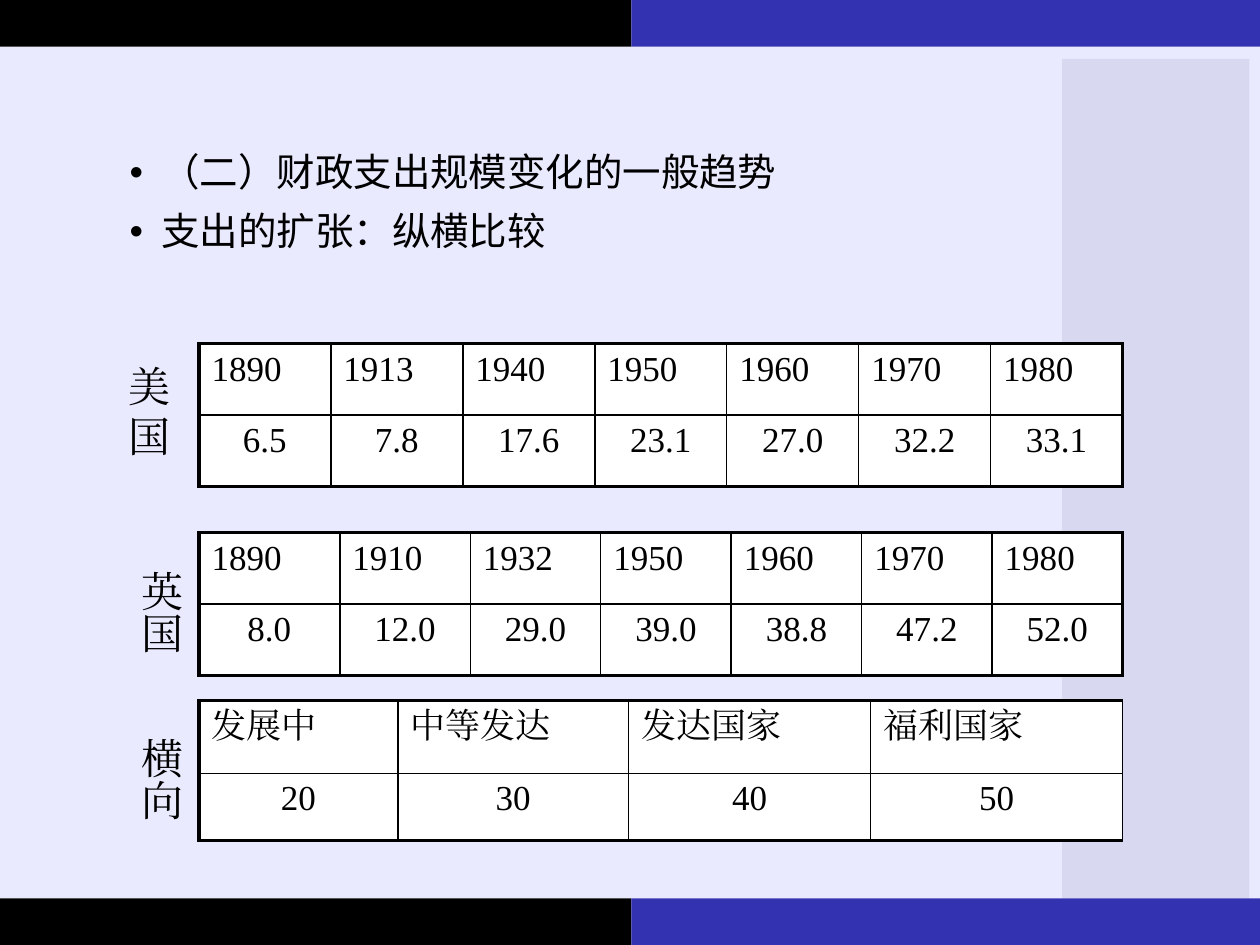
from dataclasses import dataclass

from lxml.etree import SubElement
from pptx import Presentation
from pptx.dml.color import RGBColor
from pptx.enum.shapes import MSO_SHAPE as Preset
from pptx.enum.text import MSO_AUTO_SIZE as AutoSize, PP_ALIGN as Align
from pptx.oxml.ns import qn
from pptx.util import Cm, Pt

SERIF, SANS = "Times New Roman", "Noto Sans CJK SC"
BLACK, WHITE, BLUE = "000000", "FFFFFF", "3333B2"
LAVENDER, PANEL = "EAEAFF", "D8D8F0"
WIDTH, HEIGHT = 25.4, 19.05
BAND_HEIGHT, BAND_SPLIT = 0.94, 12.73
TABLE_LEFT = 4.01
THIN, THICK = 1, 2.25


@dataclass
class Block:
    left: float
    top: float
    width: float
    height: float
    color: str


@dataclass
class DataTable:
    top: float
    columns: list[float]
    rows: list[float]
    headings: list[str]
    values: list[str]
    right_border: float = THICK


@dataclass
class Label:
    text: str
    left: float
    top: float
    width: float
    height: float
    vertical: bool = True


def paint(target, color: str) -> None:
    """Give a fill or a font a solid colour."""
    if hasattr(target, "solid"):
        target.solid()
        target.fore_color.rgb = RGBColor.from_string(color)
    else:
        target.color.rgb = RGBColor.from_string(color)


def format_font(paragraph, size: float, name: str) -> None:
    font = paragraph.font
    font.size, font.name = Pt(size), name
    paint(font, BLACK)
    properties = paragraph._p.pPr.find(qn("a:defRPr"))
    SubElement(properties, qn("a:ea"), typeface=name)


def add_block(slide, block: Block) -> None:
    shape = slide.shapes.add_shape(Preset.RECTANGLE, Cm(block.left), Cm(block.top),
                                   Cm(block.width), Cm(block.height))
    shape.shadow.inherit = False
    shape.line.fill.background()
    paint(shape.fill, block.color)


def add_borders(cell, widths: dict[str, float]) -> None:
    properties = cell._tc.get_or_add_tcPr()
    for side, width in widths.items():
        line = SubElement(properties, qn(f"a:ln{side}"), w=str(Pt(width)))
        fill = SubElement(line, qn("a:solidFill"))
        SubElement(fill, qn("a:srgbClr"), val=BLACK)


def add_data_table(slide, data: DataTable) -> None:
    column_count = len(data.columns)
    table = slide.shapes.add_table(2, column_count, Cm(TABLE_LEFT), Cm(data.top),
                                   Cm(sum(data.columns)), Cm(sum(data.rows))).table
    table.first_row = table.horz_banding = False
    for column, width in zip(table.columns, data.columns):
        column.width = Cm(width)
    for row, height in zip(table.rows, data.rows):
        row.height = Cm(height)
    for row_index, texts in enumerate((data.headings, data.values)):
        for column_index, text in enumerate(texts):
            cell = table.cell(row_index, column_index)
            add_borders(cell, {
                "L": THICK if column_index == 0 else THIN,
                "R": data.right_border if column_index == column_count - 1 else THIN,
                "T": THICK if row_index == 0 else THIN,
                "B": THICK if row_index == 1 else THIN,
            })
            paint(cell.fill, WHITE)
            cell.text = text
            paragraph = cell.text_frame.paragraphs[0]
            paragraph.alignment = Align.CENTER if row_index else Align.LEFT
            paragraph.space_before = Pt(4)
            format_font(paragraph, 20, SERIF)


def add_label(slide, label: Label) -> None:
    box = slide.shapes.add_textbox(Cm(label.left), Cm(label.top),
                                   Cm(label.width), Cm(label.height))
    frame = box.text_frame
    frame.text = label.text
    frame.word_wrap = not label.vertical
    frame.auto_size = AutoSize.SHAPE_TO_FIT_TEXT
    if label.vertical:
        frame._txBody.bodyPr.set("vert", "eaVert")
    format_font(frame.paragraphs[0], 24, SERIF)


def fill_body(body, lines: list[str]) -> None:
    body.left, body.top, body.width, body.height = Cm(2.36), Cm(2.97), Cm(19.1), Cm(14)
    frame = body.text_frame
    frame.text = "\n".join(lines)
    frame.auto_size = AutoSize.NONE
    for paragraph in frame.paragraphs:
        paragraph.line_spacing = 0.9
        paragraph.space_before = Pt(10)
        properties = paragraph._p.get_or_add_pPr()
        properties.set("marL", str(Cm(0.64)))
        properties.set("indent", str(Cm(-0.64)))
        SubElement(properties, qn("a:buFont"), typeface="Arial")
        SubElement(properties, qn("a:buChar"), char="•")
        format_font(paragraph, 22, SANS)


presentation = Presentation()
presentation.slide_width, presentation.slide_height = Cm(WIDTH), Cm(HEIGHT)
slide = presentation.slides.add_slide(presentation.slide_layouts[1])
title, body = slide.placeholders
title.element.getparent().remove(title.element)

# Background, side panel and the two-coloured bands
blocks = [Block(0, BAND_HEIGHT, WIDTH, HEIGHT - 2 * BAND_HEIGHT, LAVENDER),
          Block(21.41, 1.19, 3.78, 16.92, PANEL)]
for band_top in (0, HEIGHT - BAND_HEIGHT):
    blocks += [Block(0, band_top, BAND_SPLIT, BAND_HEIGHT, BLACK),
               Block(BAND_SPLIT, band_top, WIDTH - BAND_SPLIT, BAND_HEIGHT, BLUE)]
for block in blocks:
    add_block(slide, block)

# Bulleted list, in front of the background
fill_body(body, ["（二）财政支出规模变化的一般趋势", "支出的扩张：纵横比较"])
slide.shapes._spTree.append(body.element)

# Tables
tables = [
    DataTable(6.93, [2.66] * 7, [1.44] * 2,
              ["1890", "1913", "1940", "1950", "1960", "1970", "1980"],
              ["6.5", "7.8", "17.6", "23.1", "27.0", "32.2", "33.1"]),
    DataTable(10.74, [2.84] + [2.63] * 6, [1.44] * 2,
              ["1890", "1910", "1932", "1950", "1960", "1970", "1980"],
              ["8.0", "12.0", "29.0", "39.0", "38.8", "47.2", "52.0"]),
    DataTable(14.12, [4.01, 4.65, 4.88, 5.08], [1.47, 1.35],
              ["发展中", "中等发达", "发达国家", "福利国家"],
              ["20", "30", "40", "50"], right_border=THIN),
]
for data in tables:
    add_data_table(slide, data)

# Row labels
for label in (Label("美国", 2.34, 7.14, 1.27, 2.29, vertical=False),
              Label("英国", 2.36, 11.25, 1.52, 1.96),
              Label("横向", 2.36, 14.63, 1.52, 1.96)):
    add_label(slide, label)

presentation.save("out.pptx")
